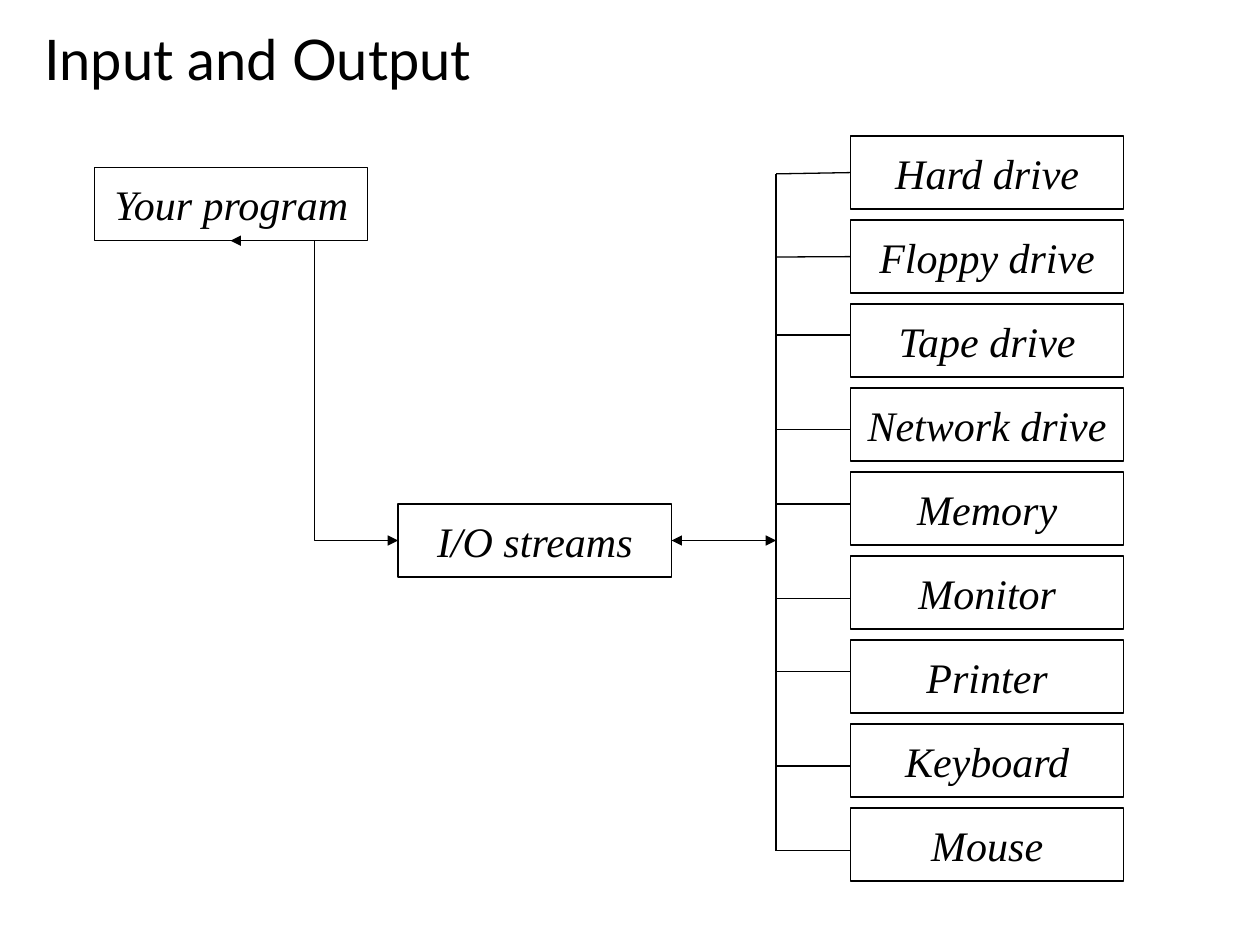
from lxml import etree
from pptx import Presentation
from pptx.dml.color import RGBColor
from pptx.enum.shapes import MSO_CONNECTOR, MSO_SHAPE
from pptx.enum.text import MSO_ANCHOR, PP_ALIGN
from pptx.oxml.ns import qn
from pptx.util import Inches, Pt

STRAIGHT, ELBOW = MSO_CONNECTOR.STRAIGHT, MSO_CONNECTOR.ELBOW
RECT = MSO_SHAPE.RECTANGLE
MIDDLE = MSO_ANCHOR.MIDDLE
LEFT, CENTER = PP_ALIGN.LEFT, PP_ALIGN.CENTER
BLACK = RGBColor(0x00, 0x00, 0x00)
WHITE = RGBColor(0xFF, 0xFF, 0xFF)

BOX_W, BOX_H = 2.17, 0.58
DEVICE_X, DEVICE_Y, DEVICE_STEP = 6.75, 1.08, 2 / 3
BUS_X = 6.16

# Each device with the height at which its branch leaves the bus
DEVICES = [
    ("Hard drive", 1.38),
    ("Floppy drive", 2.04),
    ("Tape drive", 2.66),
    ("Network drive", 3.41),
    ("Memory", 4.0),
    ("Monitor", 4.75),
    ("Printer", 5.33),
    ("Keyboard", 6.08),
    ("Mouse", 6.75),
]

prs = Presentation()
prs.slide_width, prs.slide_height = Inches(10), Inches(7.5)
s = prs.slides.add_slide(prs.slide_layouts[5])


def add_box(text, x, y):
    sp = s.shapes.add_shape(RECT, Inches(x), Inches(y), Inches(BOX_W), Inches(BOX_H))
    sp.shadow.inherit = False
    sp.fill.solid()
    sp.fill.fore_color.rgb = WHITE
    sp.line.color.rgb = BLACK
    sp.line.width = Pt(0.75)
    tf = sp.text_frame
    tf.word_wrap = False
    tf.vertical_anchor = MIDDLE
    tf.text = text
    p = tf.paragraphs[0]
    p.alignment = CENTER
    font = p.runs[0].font
    font.name, font.size, font.italic = "Times New Roman", Pt(24), True
    font.color.rgb = BLACK
    return sp


def add_line(x1, y1, x2, y2, kind=STRAIGHT, arrows=False):
    cx = s.shapes.add_connector(kind, Inches(x1), Inches(y1), Inches(x2), Inches(y2))
    cx.line.color.rgb = BLACK
    cx.line.width = Pt(0.75)
    if arrows:
        ln = cx.line._get_or_add_ln()
        for end in ("a:headEnd", "a:tailEnd"):
            etree.SubElement(ln, qn(end), type="triangle")
    etree.SubElement(cx._element.spPr, qn("a:effectLst"))
    return cx


# Title
title = s.shapes.title
title.left, title.top = Inches(0.25), Inches(0)
title.width, title.height = Inches(9.5), Inches(0.92)
tf = title.text_frame
tf.text = "Input and Output"
tf.vertical_anchor = MIDDLE
p = tf.paragraphs[0]
p.alignment = LEFT
font = p.runs[0].font
font.name, font.size = "Lato", Pt(32)
font.color.rgb = BLACK

# Program and streams
add_box("Your program", 0.75, 1.33)
streams = add_box("I/O streams", 3.16, 4)
add_line(1.83, 1.91, 3.16, 4.29, ELBOW, arrows=True)

# Devices and their branches
for i, (name, branch_y) in enumerate(DEVICES):
    y = DEVICE_Y + i * DEVICE_STEP
    device = add_box(name, DEVICE_X, y)
    branch = add_line(DEVICE_X, branch_y, BUS_X, branch_y)
    if abs(y + BOX_H / 2 - branch_y) < 0.02:
        branch.begin_connect(device, 1)

# Bus, joined to the streams
add_line(BUS_X, DEVICES[0][1], BUS_X, DEVICES[-1][1])
add_line(5.33, 4.29, BUS_X, 4.29, arrows=True).begin_connect(streams, 3)

prs.save("out.pptx")
